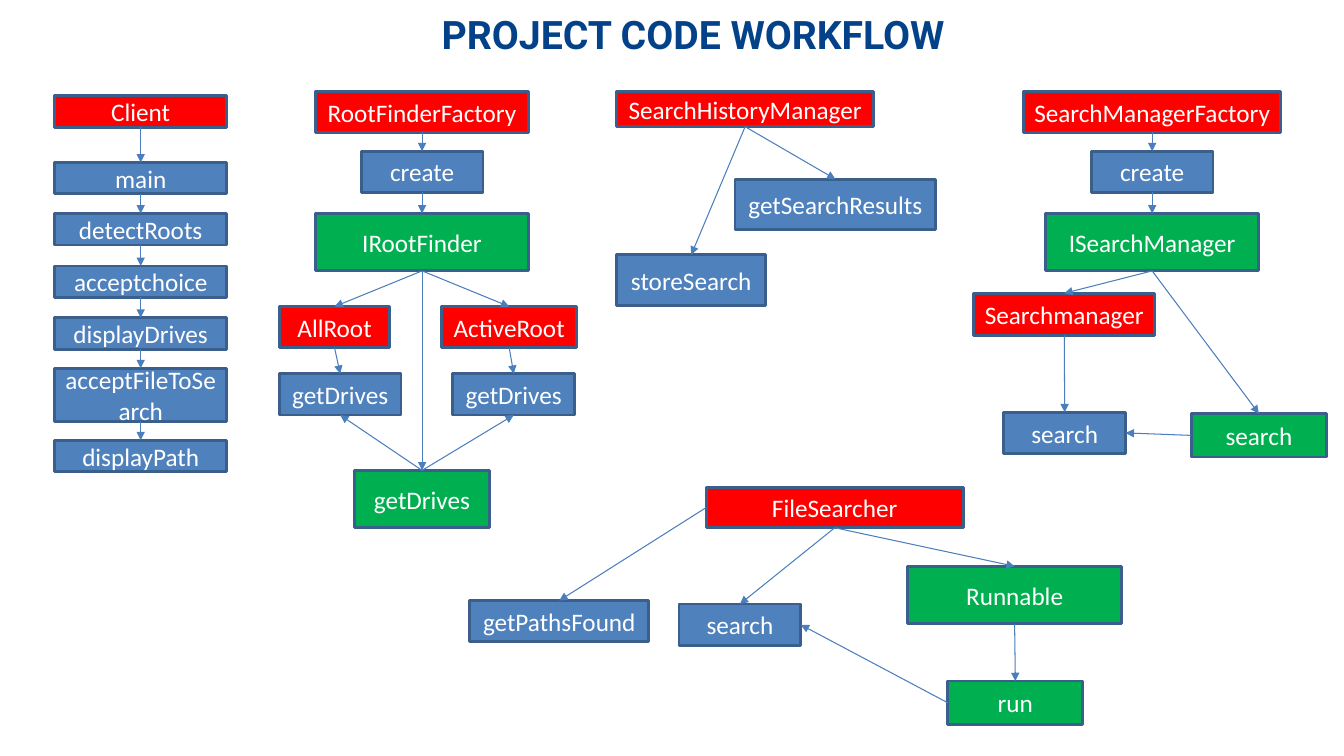
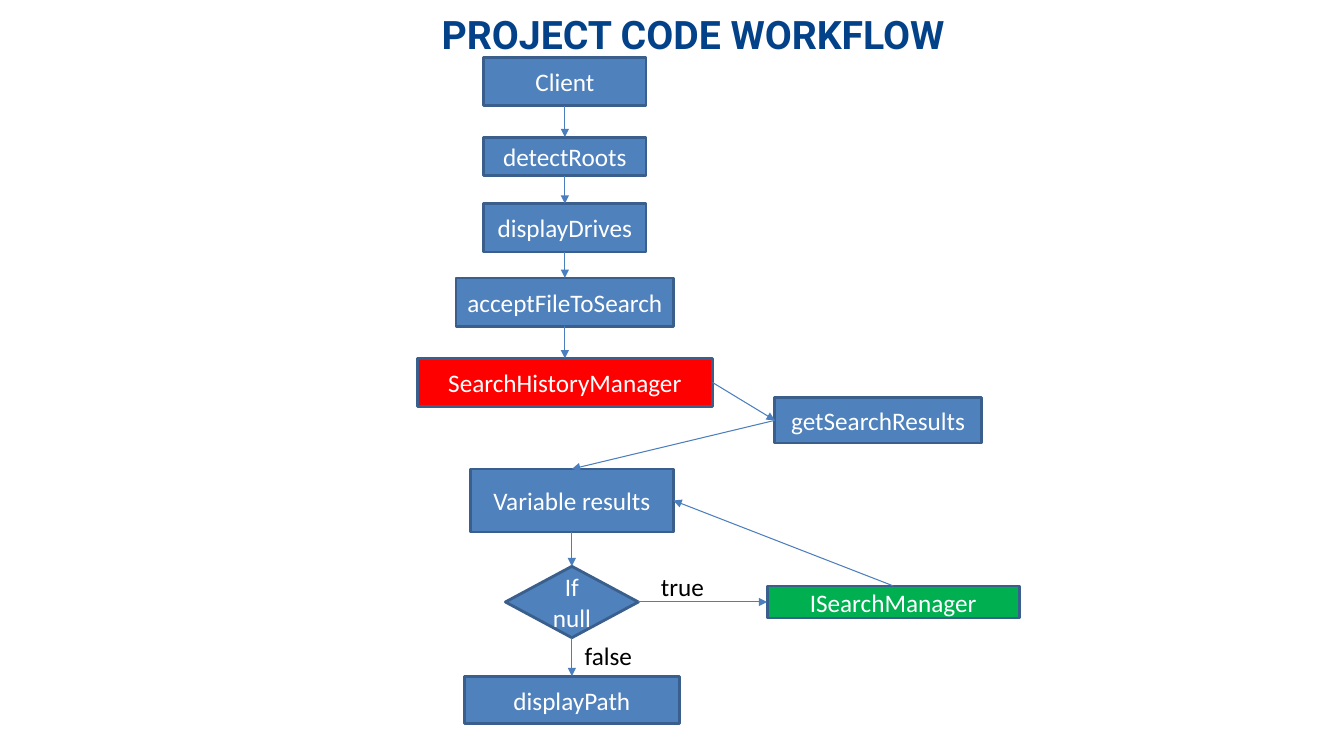
import pptx
import pptx.dml.color
import pptx.enum.shapes
import pptx.enum.text
import pptx.oxml.ns
import pptx.util
import lxml.etree
import itertools

Pt = pptx.util.Pt
SHAPES = pptx.enum.shapes.MSO_SHAPE
ALIGN = pptx.enum.text.PP_ALIGN
ANCHOR = pptx.enum.text.MSO_ANCHOR
AUTO_SIZE = pptx.enum.text.MSO_AUTO_SIZE
TOP, LEFT, BOTTOM, RIGHT = range(4)


def color(value):
    return pptx.dml.color.RGBColor.from_string(value)


class Diagram:
    METHOD, CLASS, INTERFACE = "4F81BD", "FF0000", "00B050"
    OUTLINE, ARROW, TITLE = "3A5F8C", "4B7EBC", "034288"
    BOX_TEXT, LABEL_TEXT = "FFFFFF", "000000"
    BODY_FONT, TITLE_FONT = "Calibri", "Roboto"

    def __init__(self):
        self.presentation = pptx.Presentation()
        self.presentation.slide_width = Pt(960)
        self.presentation.slide_height = Pt(540)
        self.slide = None

    def set_text(self, shape, text, font, size, text_color, align, bold=False):
        shape.text_frame.text = text
        for paragraph in shape.text_frame.paragraphs:
            paragraph.alignment = align
            for run in paragraph.runs:
                run.font.name = font
                run.font.size = Pt(size)
                run.font.bold = bold
                run.font.color.rgb = color(text_color)

    def new_slide(self, text):
        self.slide = self.presentation.slides.add_slide(self.presentation.slide_layouts[5])
        title = self.slide.shapes.title
        title.left, title.top, title.width, title.height = Pt(278), Pt(0), Pt(434), Pt(41)
        frame = title.text_frame
        frame.margin_left = frame.margin_right = frame.margin_top = frame.margin_bottom = Pt(0)
        frame.vertical_anchor = ANCHOR.BOTTOM
        frame.auto_size = AUTO_SIZE.NONE
        self.set_text(title, text, self.TITLE_FONT, 28, self.TITLE, ALIGN.CENTER, True)

    def box(self, text, fill, left, top, width, height, kind=SHAPES.RECTANGLE):
        shape = self.slide.shapes.add_shape(kind, Pt(left), Pt(top), Pt(width), Pt(height))
        shape.shadow.inherit = False
        shape.fill.solid()
        shape.fill.fore_color.rgb = color(fill)
        shape.line.color.rgb = color(self.OUTLINE)
        shape.line.width = Pt(2)
        shape.text_frame.word_wrap = True
        shape.text_frame.vertical_anchor = ANCHOR.MIDDLE
        self.set_text(shape, text, self.BODY_FONT, 18, self.BOX_TEXT, ALIGN.CENTER)
        return shape

    def centered_box(self, text, fill, center, top, width, height, kind=SHAPES.RECTANGLE):
        return self.box(text, fill, center - width / 2, top, width, height, kind)

    def label(self, text, left, top, width):
        shape = self.slide.shapes.add_textbox(Pt(left), Pt(top), Pt(width), Pt(29))
        shape.text_frame.word_wrap = True
        self.set_text(shape, text, self.BODY_FONT, 18, self.LABEL_TEXT, ALIGN.LEFT)

    def arrow(self, start, end, start_side=BOTTOM, end_side=TOP):
        connector = self.slide.shapes.add_connector(
            pptx.enum.shapes.MSO_CONNECTOR.STRAIGHT, Pt(0), Pt(0), Pt(0), Pt(0))
        connector.begin_connect(start, start_side)
        connector.end_connect(end, end_side)
        connector.line.color.rgb = color(self.ARROW)
        connector.line.width = Pt(0.75)
        qualify = pptx.oxml.ns.qn
        properties = connector._element.spPr
        line = properties.find(qualify("a:ln"))
        lxml.etree.SubElement(line, qualify("a:tailEnd"), type="triangle")
        lxml.etree.SubElement(properties, qualify("a:effectLst"))

    def chain(self, *boxes):
        for start, end in itertools.pairwise(boxes):
            self.arrow(start, end)

    def save(self):
        self.presentation.save("out.pptx")


def client_steps(diagram):
    steps = [
        ("Client", diagram.CLASS, 68.5, 22.5),
        ("main", diagram.METHOD, 116, 22.5),
        ("detectRoots", diagram.METHOD, 152.5, 22.5),
        ("acceptchoice", diagram.METHOD, 190, 22.5),
        ("displayDrives", diagram.METHOD, 227, 22.5),
        ("acceptFileToSearch", diagram.METHOD, 263, 38),
        ("displayPath", diagram.METHOD, 314.5, 22.5),
    ]
    diagram.chain(*[diagram.box(text, fill, 39, top, 123, height)
                    for text, fill, top, height in steps])


def factory(diagram, name, interface_name, center, width):
    factory_class = diagram.centered_box(name, diagram.CLASS, center, 65.5, width, 29)
    create = diagram.centered_box("create", diagram.METHOD, center, 108, 87, 29.5)
    interface = diagram.centered_box(interface_name, diagram.INTERFACE, center, 152.5, 152.5, 41)
    diagram.chain(factory_class, create, interface)
    return interface


def root_finder(diagram):
    interface = factory(diagram, "RootFinderFactory", "IRootFinder", 301.5, 152.5)
    contract = diagram.centered_box("getDrives", diagram.INTERFACE, 301.5, 336, 96.5, 41)
    diagram.arrow(interface, contract)
    for name, left, width, method_left in [("AllRoot", 199.5, 79, 199.5),
                                           ("ActiveRoot", 315.5, 96.5, 323.5)]:
        root = diagram.box(name, diagram.CLASS, left, 219, width, 29.5)
        method = diagram.box("getDrives", diagram.METHOD, method_left, 267, 87, 29.5)
        diagram.chain(interface, root, method)
        diagram.arrow(contract, method, TOP, BOTTOM)


def search_history(diagram):
    manager = diagram.box("SearchHistoryManager", diagram.CLASS, 440.5, 65.5, 183.5, 25)
    store = diagram.box("storeSearch", diagram.METHOD, 440.5, 182, 106.5, 36)
    results = diagram.box("getSearchResults", diagram.METHOD, 525, 128, 143.5, 36)
    diagram.arrow(manager, store)
    diagram.arrow(manager, results)


def search_manager(diagram):
    interface = factory(diagram, "SearchManagerFactory", "ISearchManager", 823, 183.5)
    manager = diagram.box("Searchmanager", diagram.CLASS, 695.5, 209.5, 129.5, 30)
    contract = diagram.box("search", diagram.INTERFACE, 851, 295.5, 96.5, 31)
    search = diagram.box("search", diagram.METHOD, 717, 294.5, 87, 29.5)
    diagram.chain(interface, manager, search)
    diagram.arrow(interface, contract)
    diagram.arrow(contract, search, LEFT, RIGHT)


def file_searcher(diagram):
    searcher = diagram.box("FileSearcher", diagram.CLASS, 504.5, 348, 183.5, 29)
    runnable = diagram.box("Runnable", diagram.INTERFACE, 648.5, 404.5, 152.5, 41)
    run = diagram.box("run", diagram.INTERFACE, 677, 486.5, 96.5, 31)
    search = diagram.box("search", diagram.METHOD, 485, 431.5, 87, 29.5)
    paths = diagram.box("getPathsFound", diagram.METHOD, 335.5, 429, 128, 29.5)
    diagram.chain(searcher, runnable, run)
    diagram.arrow(searcher, search)
    diagram.arrow(run, search, LEFT, RIGHT)
    diagram.arrow(searcher, paths, LEFT, TOP)


def client_flow(diagram):
    steps = [
        ("Client", diagram.METHOD, 41, 116, 34.5),
        ("detectRoots", diagram.METHOD, 98, 116, 27.5),
        ("displayDrives", diagram.METHOD, 145.5, 116, 34.5),
        ("acceptFileToSearch", diagram.METHOD, 198.5, 155.5, 34.5),
        ("SearchHistoryManager", diagram.CLASS, 256, 211, 34.5),
    ]
    boxes = [diagram.centered_box(text, fill, 403.5, top, width, height)
             for text, fill, top, width, height in steps]
    diagram.chain(*boxes)

    results = diagram.box("getSearchResults", diagram.METHOD, 553.5, 284, 147.5, 32.5)
    variable = diagram.centered_box("Variable results", diagram.METHOD, 408.5, 335, 145, 45)
    decision = diagram.centered_box("If null", diagram.METHOD, 408.5, 404.5, 95, 51,
                                    SHAPES.FLOWCHART_DECISION)
    display = diagram.centered_box("displayPath", diagram.METHOD, 408.5, 483, 153.5, 34)
    interface = diagram.box("ISearchManager", diagram.INTERFACE, 548, 418.5, 180, 23)
    diagram.arrow(boxes[-1], results, RIGHT, LEFT)
    diagram.arrow(results, variable, LEFT, TOP)
    diagram.chain(variable, decision, display)
    diagram.arrow(decision, interface, RIGHT, LEFT)
    diagram.arrow(interface, variable, TOP, RIGHT)
    diagram.label("true", 465, 404.5, 47.5)
    diagram.label("false", 410.5, 453.5, 61)


def main():
    diagram = Diagram()
    heading = "PROJECT CODE WORKFLOW"
    diagram.new_slide(heading)
    for section in (client_steps, root_finder, search_history, search_manager, file_searcher):
        section(diagram)
    diagram.new_slide(heading)
    client_flow(diagram)
    diagram.save()


if __name__ == "__main__":
    main()
